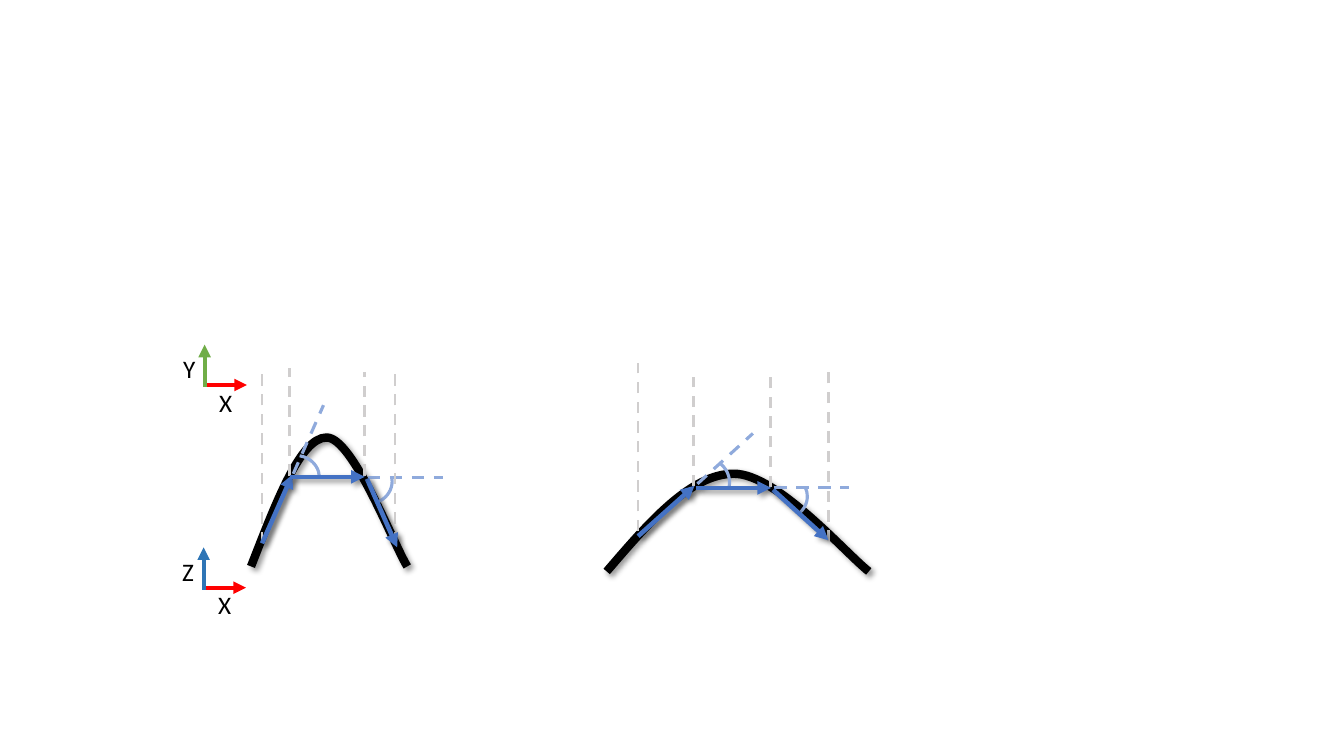
from dataclasses import dataclass
from typing import Any

import lxml.etree
import pptx
import pptx.dml.color
import pptx.enum.dml
import pptx.enum.shapes
import pptx.enum.text
import pptx.oxml.ns
import pptx.util

Pt = pptx.util.Pt
RGBColor = pptx.dml.color.RGBColor
qn = pptx.oxml.ns.qn
Point = tuple[float, float]

BLACK = RGBColor(0x00, 0x00, 0x00)
PALE_BLUE = RGBColor(0x8F, 0xAA, 0xDC)
BLUE = RGBColor(0x44, 0x72, 0xC4)
GRAY = RGBColor(0xD0, 0xCE, 0xCE)
RED = RGBColor(0xFF, 0x00, 0x00)
GREEN = RGBColor(0x70, 0xAD, 0x47)
Z_BLUE = RGBColor(0x2E, 0x75, 0xB6)


@dataclass
class Angle:
    left: float
    top: float
    width: float
    height: float
    start: float
    end: float


@dataclass
class Guide:
    x: float
    bottom: float
    top: float


@dataclass
class Bend:
    """A curve given as Bezier points, with its chords, angles and guides."""
    curve: list[Point]
    extensions: list[tuple[Point, Point]]
    angles: list[Angle]
    guides: list[Guide]
    chords: list[tuple[Point, Point]]


@dataclass
class Axes:
    x: float
    y: float
    vertical_name: str
    vertical_color: RGBColor


BENDS = [
    Bend(
        curve=[(433.4, 408.2), (463, 373.7), (493.2, 338.4), (524.2, 338.4),
               (555.1, 338.4), (604.1, 395.3), (620.6, 408.2)],
        extensions=[((498.2, 345.6), (537.8, 309.6)), ((553, 348.5), (606.2, 348.5))],
        angles=[Angle(487.4, 327.6, 33.8, 34.6, 308.29, 10.63),
                Angle(541.4, 338.4, 35.3, 32.4, 339.33, 45.58)],
        guides=[Guide(495.4, 347, 269.3), Guide(550.1, 347.8, 265.7),
                Guide(591.8, 386.6, 265.7), Guide(455.8, 379.4, 259.2)],
        chords=[((552.2, 349.9), (591.8, 385.9)), ((455.8, 383), (496.1, 347)),
                ((497.5, 348.5), (550.8, 348.5))],
    ),
    Bend(
        curve=[(179.3, 404.6), (197.3, 358.6), (214.6, 312.5), (233.3, 312.5),
               (252, 312.5), (280.8, 388.1), (290.9, 404.6)],
        extensions=[((209.5, 338.4), (231.1, 289.4)), ((262.8, 341.3), (316.1, 341.3))],
        angles=[Angle(245.5, 327.6, 34.6, 32.4, 348.89, 69.22),
                Angle(194.4, 325.4, 33.8, 31.7, 280.1, 359.16)],
        guides=[Guide(207, 339.8, 262.8), Guide(260.6, 339.8, 265.7),
                Guide(187.2, 388.1, 265), Guide(282.2, 388.1, 265)],
        chords=[((262.1, 342), (283.7, 391)), ((187.2, 388.1), (208.8, 339.1)),
                ((207.4, 340.6), (260.6, 340.6))],
    ),
]
AXES = [Axes(145.8, 275, "Y", GREEN), Axes(145.1, 419.8, "Z", Z_BLUE)]


def style_line(shape: Any, color: RGBColor, width: float, dashed: bool = False,
               arrow: bool = False, shadow: bool = False) -> None:
    shape.line.color.rgb = color
    shape.line.width = Pt(width)
    if dashed:
        shape.line.dash_style = pptx.enum.dml.MSO_LINE.DASH
    properties = shape._element.spPr
    if arrow:
        lxml.etree.SubElement(properties.find(qn("a:ln")), qn("a:tailEnd"), type="triangle")
    effects = lxml.etree.SubElement(properties, qn("a:effectLst"))
    if shadow:
        outer = lxml.etree.SubElement(
            effects, qn("a:outerShdw"), blurRad=str(Pt(4)), dist=str(Pt(3)),
            dir=str(45 * 60000), algn="tl", rotWithShape="0")
        color_element = lxml.etree.SubElement(outer, qn("a:srgbClr"), val=str(BLACK))
        lxml.etree.SubElement(color_element, qn("a:alpha"), val="40000")


def draw_line(shapes: Any, start: Point, end: Point, color: RGBColor, width: float,
              dashed: bool = False, arrow: bool = False, shadow: bool = False) -> None:
    connector = shapes.add_connector(
        pptx.enum.shapes.MSO_CONNECTOR.STRAIGHT,
        Pt(start[0]), Pt(start[1]), Pt(end[0]), Pt(end[1]))
    style_line(connector, color, width, dashed, arrow, shadow)


def draw_curve(shapes: Any, points: list[Point]) -> None:
    """Build a path through the knots, then turn its segments into Bezier curves."""
    knots = [(Pt(x), Pt(y)) for x, y in points[::3]]
    builder = shapes.build_freeform(*knots[0])
    builder.add_line_segments(knots[1:], close=False)
    curve = builder.convert_to_shape()
    segments = list(curve._element.iter(qn("a:lnTo")))
    for index, segment in enumerate(segments):
        segment.tag = qn("a:cubicBezTo")
        controls = points[3 * index + 1:3 * index + 3]
        for position, (x, y) in enumerate(controls):
            control = lxml.etree.Element(
                qn("a:pt"), x=str(Pt(x) - curve.left), y=str(Pt(y) - curve.top))
            segment.insert(position, control)
    curve.fill.background()
    style_line(curve, BLACK, 6, shadow=True)


def draw_angle(shapes: Any, angle: Angle) -> None:
    arc = shapes.add_shape(pptx.enum.shapes.MSO_SHAPE.ARC, Pt(angle.left), Pt(angle.top),
                           Pt(angle.width), Pt(angle.height))
    # Angles are stored in 60000ths of a degree, adjustments in 100000ths.
    arc.adjustments[0] = angle.start * 0.6
    arc.adjustments[1] = angle.end * 0.6
    arc.fill.background()
    style_line(arc, PALE_BLUE, 2.25)


def draw_bend(shapes: Any, bend: Bend) -> None:
    draw_curve(shapes, bend.curve)
    for start, end in bend.extensions:
        draw_line(shapes, start, end, PALE_BLUE, 2.25, dashed=True)
    for angle in bend.angles:
        draw_angle(shapes, angle)
    for guide in bend.guides:
        draw_line(shapes, (guide.x, guide.bottom), (guide.x, guide.top), GRAY, 2, dashed=True)
    for start, end in bend.chords:
        draw_line(shapes, start, end, BLUE, 3.25, arrow=True, shadow=True)


def draw_axis_name(shapes: Any, name: str, left: float, top: float) -> None:
    box = shapes.add_textbox(Pt(left), Pt(top), Pt(23.8), Pt(28.8))
    frame = box.text_frame
    frame.word_wrap = False
    frame.auto_size = pptx.enum.text.MSO_AUTO_SIZE.SHAPE_TO_FIT_TEXT
    frame.text = name
    font = frame.paragraphs[0].runs[0].font
    font.name = "Calibri"
    font.size = Pt(18)
    font.color.rgb = BLACK


def draw_axes(shapes: Any, axes: Axes) -> None:
    group = shapes.add_group_shape().shapes
    x, y = axes.x, axes.y
    draw_line(group, (x - 0.4, y), (x + 30.6, y), RED, 3, arrow=True)
    draw_line(group, (x + 0.4, y + 1.4), (x + 0.4, y - 28.8), axes.vertical_color, 3, arrow=True)
    draw_axis_name(group, "X", x + 3.6, y - 2.2)
    draw_axis_name(group, axes.vertical_name, x - 22, y - 26)


def main() -> None:
    presentation = pptx.Presentation()
    presentation.slide_width = Pt(960)
    presentation.slide_height = Pt(540)
    slide = presentation.slides.add_slide(presentation.slide_layouts[6])
    for bend in BENDS:
        draw_bend(slide.shapes, bend)
    for axes in AXES:
        draw_axes(slide.shapes, axes)
    presentation.save("out.pptx")


if __name__ == "__main__":
    main()
